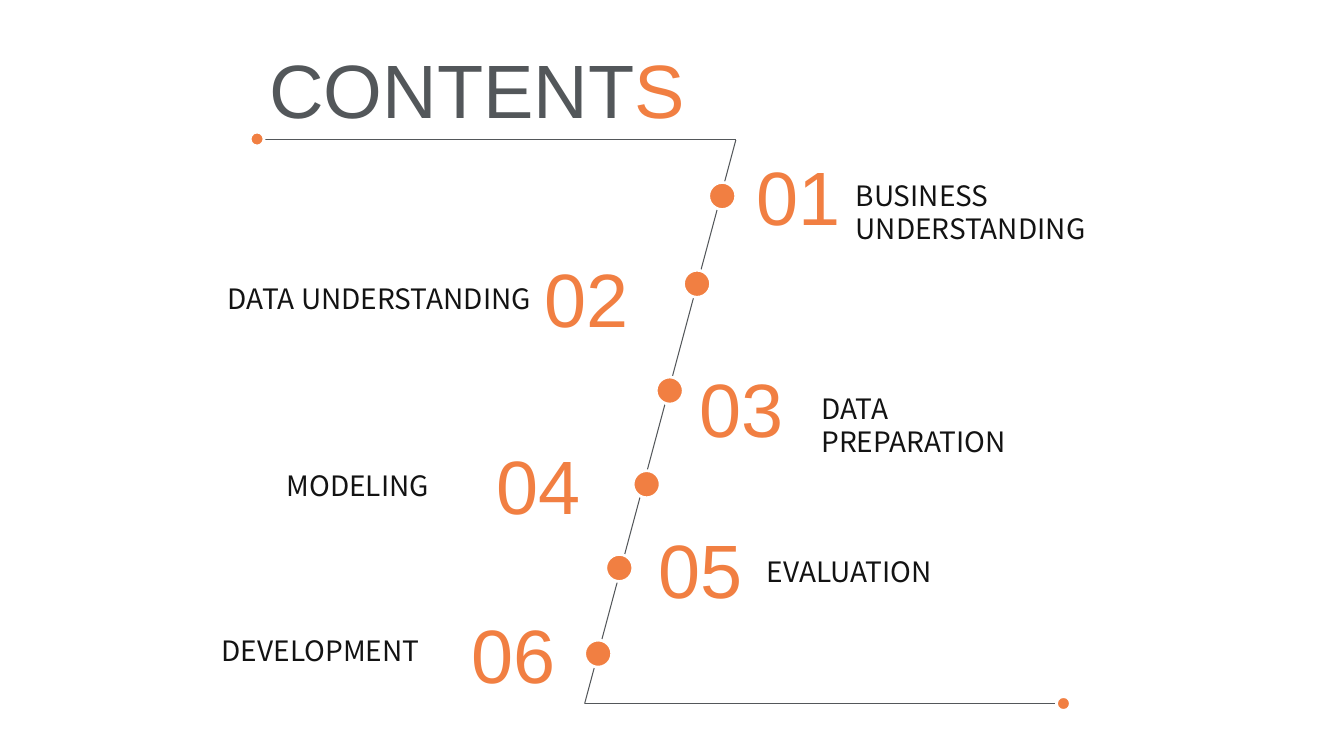
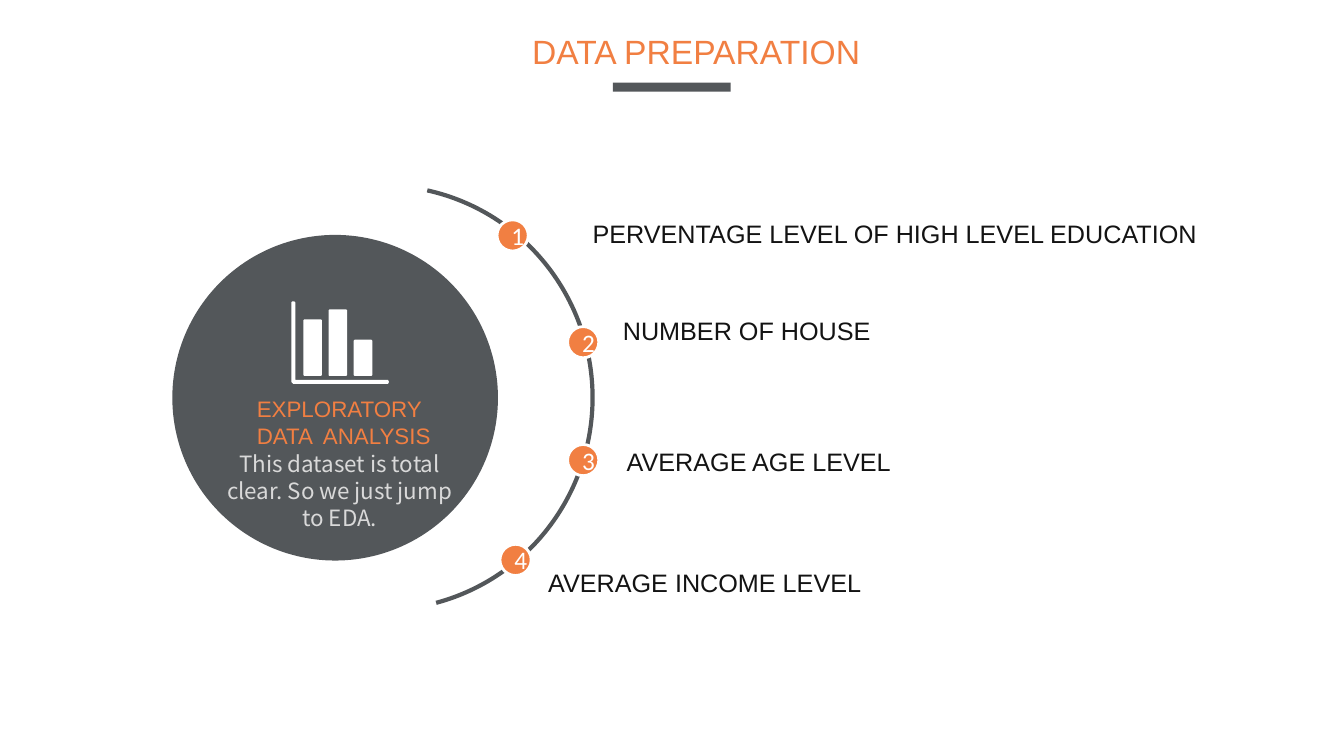
from typing import NamedTuple

from lxml.etree import SubElement
from pptx import Presentation
from pptx.dml.color import RGBColor
from pptx.enum.shapes import MSO_CONNECTOR, MSO_SHAPE
from pptx.enum.text import MSO_ANCHOR, MSO_AUTO_SIZE, PP_ALIGN
from pptx.oxml.ns import qn
from pptx.util import Pt

COLORS = {
    "gray": "53575A",
    "orange": "F17F42",
    "ink": "131313",
    "pale": "D9D9D9",
    "white": "FFFFFF",
}
SANS, CJK, DIGITS = "Arial", "Noto Sans CJK SC", "Calibri"
LEFT, CENTER = PP_ALIGN.LEFT, PP_ALIGN.CENTER


class Box(NamedTuple):
    left: float
    top: float
    width: float
    height: float


class Chapter(NamedTuple):
    title: str
    label_left: float
    label_top: float
    label_width: float
    align: PP_ALIGN
    number_left: float
    number_top: float
    dot_left: float
    dot_top: float


class Finding(NamedTuple):
    title: str
    left: float
    top: float
    width: float
    dot_left: float
    dot_top: float


CHAPTERS = [
    Chapter("BUSINESS\vUNDERSTANDING", 604.1, 123.8, 275.8, LEFT, 533.5, 103.7, 506.2, 130.3),
    Chapter("DATA UNDERSTANDING", 154.1, 197.3, 234, CENTER, 381.6, 176.4, 488.2, 193),
    Chapter("DATA\vPREPARATION", 579.6, 275.8, 198, LEFT, 492.5, 254.9, 468.7, 269.3),
    Chapter("MODELING", 195.8, 331.2, 119.5, CENTER, 347.8, 310.3, 452.2, 336.2),
    Chapter("EVALUATION", 540.7, 392.4, 133.2, LEFT, 463, 370.1, 432.7, 396),
    Chapter("DEVELOPMENT", 151.2, 449.3, 157, LEFT, 329.8, 430.6, 417.6, 457.2),
]

FINDINGS = [
    Finding("PERVENTAGE LEVEL OF HIGH LEVEL EDUCATION", 416.2, 152.6, 450.7, 355, 157),
    Finding("NUMBER OF HOUSE", 437.8, 221.8, 193, 405.4, 233.3),
    Finding("AVERAGE AGE LEVEL", 440.6, 315.4, 205.2, 405.4, 317.5),
    Finding("AVERAGE INCOME LEVEL", 384.5, 401.8, 240.5, 357.1, 388.8),
]


def rgb(color: str) -> RGBColor:
    return RGBColor.from_string(COLORS[color])


def add_text(slide, text: str, box: Box, size: float, color: str, font: str = SANS,
             align: PP_ALIGN = LEFT, wrap: bool = False):
    sp = slide.shapes.add_textbox(*map(Pt, box))
    tf = sp.text_frame
    tf.text = text
    tf.word_wrap = wrap
    tf.auto_size = MSO_AUTO_SIZE.SHAPE_TO_FIT_TEXT
    for p in tf.paragraphs:
        p.alignment = align
        for r in p.runs:
            style_run(r, size, color, font)
    return sp


def style_run(r, size: float, color: str, font: str) -> None:
    r.font.size = Pt(size)
    r.font.name = font
    r.font.color.rgb = rgb(color)


def add_solid(slide, kind: MSO_SHAPE, box: Box, color: str):
    sp = slide.shapes.add_shape(kind, *map(Pt, box))
    sp.shadow.inherit = False
    sp.fill.solid()
    sp.fill.fore_color.rgb = rgb(color)
    sp.line.fill.background()
    return sp


def add_dot(slide, left: float, top: float, size: float, label: str = "") -> None:
    sp = add_solid(slide, MSO_SHAPE.OVAL, Box(left, top, size, size), "orange")
    sp.line.color.rgb = rgb("white")
    sp.line.width = Pt(2)
    if label:
        tf = sp.text_frame
        tf.text = label
        tf.vertical_anchor = MSO_ANCHOR.MIDDLE
        p = tf.paragraphs[0]
        p.alignment = CENTER
        style_run(p.runs[0], 18, "white", DIGITS)


def add_line(slide, start: tuple[float, float], end: tuple[float, float]) -> None:
    cx = slide.shapes.add_connector(MSO_CONNECTOR.STRAIGHT, *map(Pt, start + end))
    cx.line.color.rgb = rgb("gray")
    cx.line.width = Pt(0.75)
    SubElement(cx._element.spPr, qn("a:effectLst"))


def bar_outline(left: float, top: float, width: float, bottom: float) -> list:
    """Rectangle with slightly cut corners."""
    right, cut = left + width, 0.7
    return [(left + cut, top), (right - cut, top), (right, top + cut),
            (right, bottom - cut), (right - cut, bottom), (left + cut, bottom),
            (left, bottom - cut), (left, top + cut)]


def add_chart_icon(slide) -> None:
    left, top, right, bottom, thick = 208.1, 215.3, 277.9, 274.3, 2.9
    axes = [(left + 0.7, top), (left + thick - 0.7, top), (left + thick, top + 0.7),
            (left + thick, bottom - thick), (right - 0.7, bottom - thick),
            (right, bottom - 1.5), (right - 0.7, bottom),
            (left + 1.5, bottom), (left, bottom - 1.5), (left, top + 0.7)]
    bars = [bar_outline(216.7 + 18 * i, bar_top, 13.3, 268.6)
            for i, bar_top in enumerate((228.2, 221, 242.6))]
    fb = None
    for outline in [axes, *bars]:
        points = [(Pt(x), Pt(y)) for x, y in outline]
        if fb is None:
            fb = slide.shapes.build_freeform(*points[0])
        else:
            fb.move_to(*points[0])
        fb.add_line_segments(points[1:], close=True)
    sp = fb.convert_to_shape()
    sp.shadow.inherit = False
    sp.fill.solid()
    sp.fill.fore_color.rgb = rgb("white")
    sp.line.fill.background()


def build_contents(slide) -> None:
    # Z-shaped guide line with its end dots
    upper, lower = (525.6, 100), (417.6, 502.6)
    add_line(slide, upper, lower)
    add_line(slide, (185, 100), upper)
    add_line(slide, lower, (758.2, 502.6))
    add_dot(slide, 178.6, 94.3, 10)
    add_dot(slide, 754.6, 497.5, 10)

    # Title with an accented last letter
    sp = add_text(slide, "CONTENT", Box(183.6, 27.4, 314.6, 72.7), 54, "gray", align=CENTER)
    r = sp.text_frame.paragraphs[0].add_run()
    r.text = "S"
    style_run(r, 54, "orange", SANS)

    # Chapters
    for i, c in enumerate(CHAPTERS, 1):
        add_dot(slide, c.dot_left, c.dot_top, 19.4)
        add_text(slide, f"{i:02}", Box(c.number_left, c.number_top, 85, 72.7), 54,
                 "orange", wrap=True)
        add_text(slide, c.title, Box(c.label_left, c.label_top, c.label_width, 31.7), 20,
                 "ink", CJK, c.align)


def build_preparation(slide) -> None:
    # Title and underline
    add_text(slide, "DATA PREPARATION", Box(373, 18.7, 251.3, 36), 24, "orange")
    add_solid(slide, MSO_SHAPE.RECTANGLE, Box(437.8, 59, 84.2, 6.5), "gray")

    # Disc and surrounding arc
    add_solid(slide, MSO_SHAPE.OVAL, Box(123.1, 167.8, 232.6, 232.6), "gray")
    arc = slide.shapes.add_shape(MSO_SHAPE.ARC, Pt(123.1), Pt(132.5), Pt(300.2), Pt(303.1))
    arc.adjustments[0], arc.adjustments[1] = 169.32, 45.2
    arc.shadow.inherit = False
    arc.fill.background()
    arc.line.color.rgb = rgb("gray")
    arc.line.width = Pt(3)

    # Disc content
    add_chart_icon(slide)
    add_text(slide, "EXPLORATORY\nDATA  ANALYSIS", Box(176.4, 278.6, 139.7, 46), 16, "orange")
    add_text(slide, "This dataset is total clear. So we just jump to EDA.",
             Box(151.9, 318.2, 181.4, 65.5), 16, "pale", CJK, CENTER, wrap=True)

    # Numbered findings
    for i, f in enumerate(FINDINGS, 1):
        add_dot(slide, f.dot_left, f.dot_top, 22.3, str(i))
        add_text(slide, f.title, Box(f.left, f.top, f.width, 28.8), 18, "ink")


def main() -> None:
    prs = Presentation()
    prs.slide_width, prs.slide_height = Pt(960), Pt(540)
    for build in (build_contents, build_preparation):
        build(prs.slides.add_slide(prs.slide_layouts[6]))
    prs.save("out.pptx")


if __name__ == "__main__":
    main()
